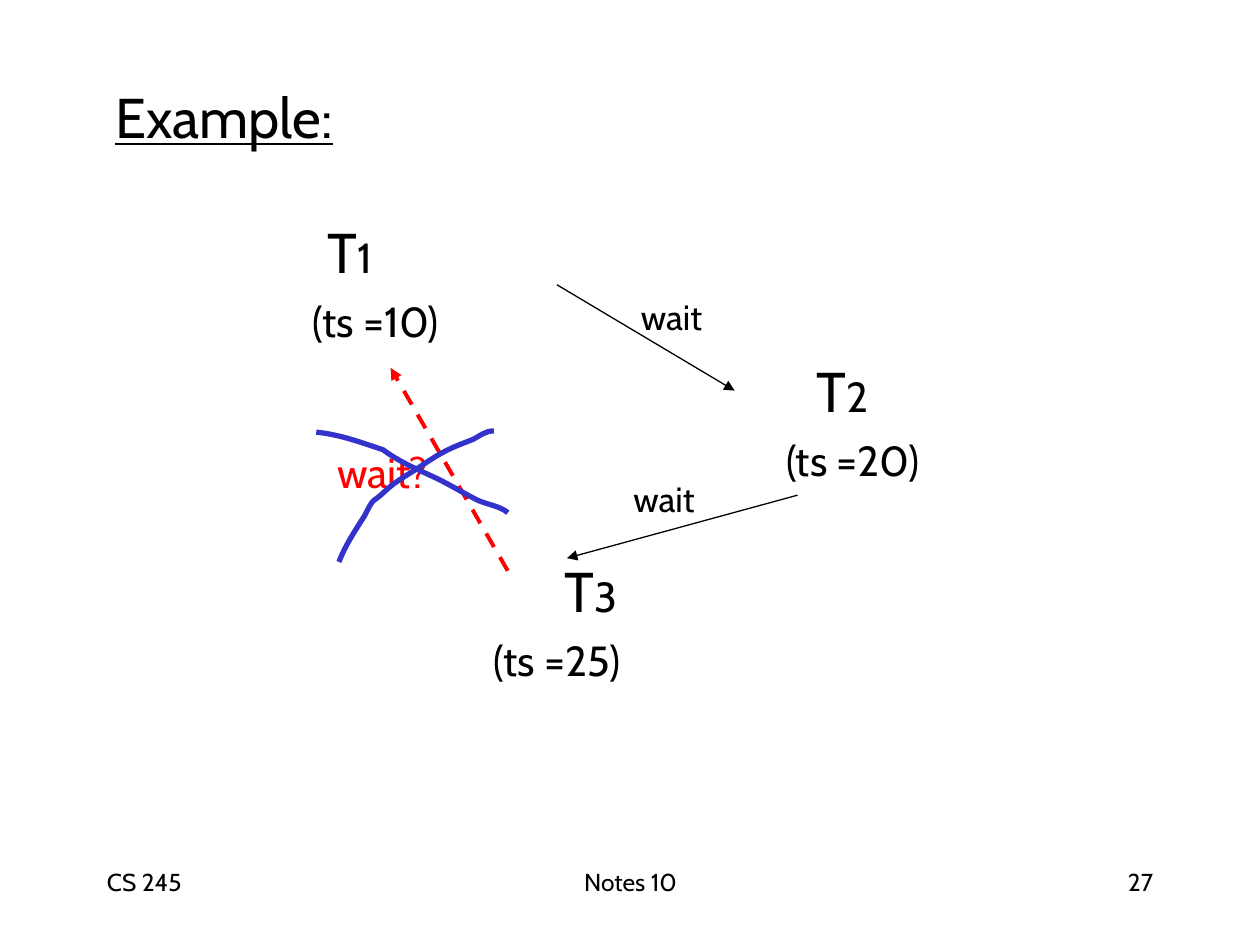
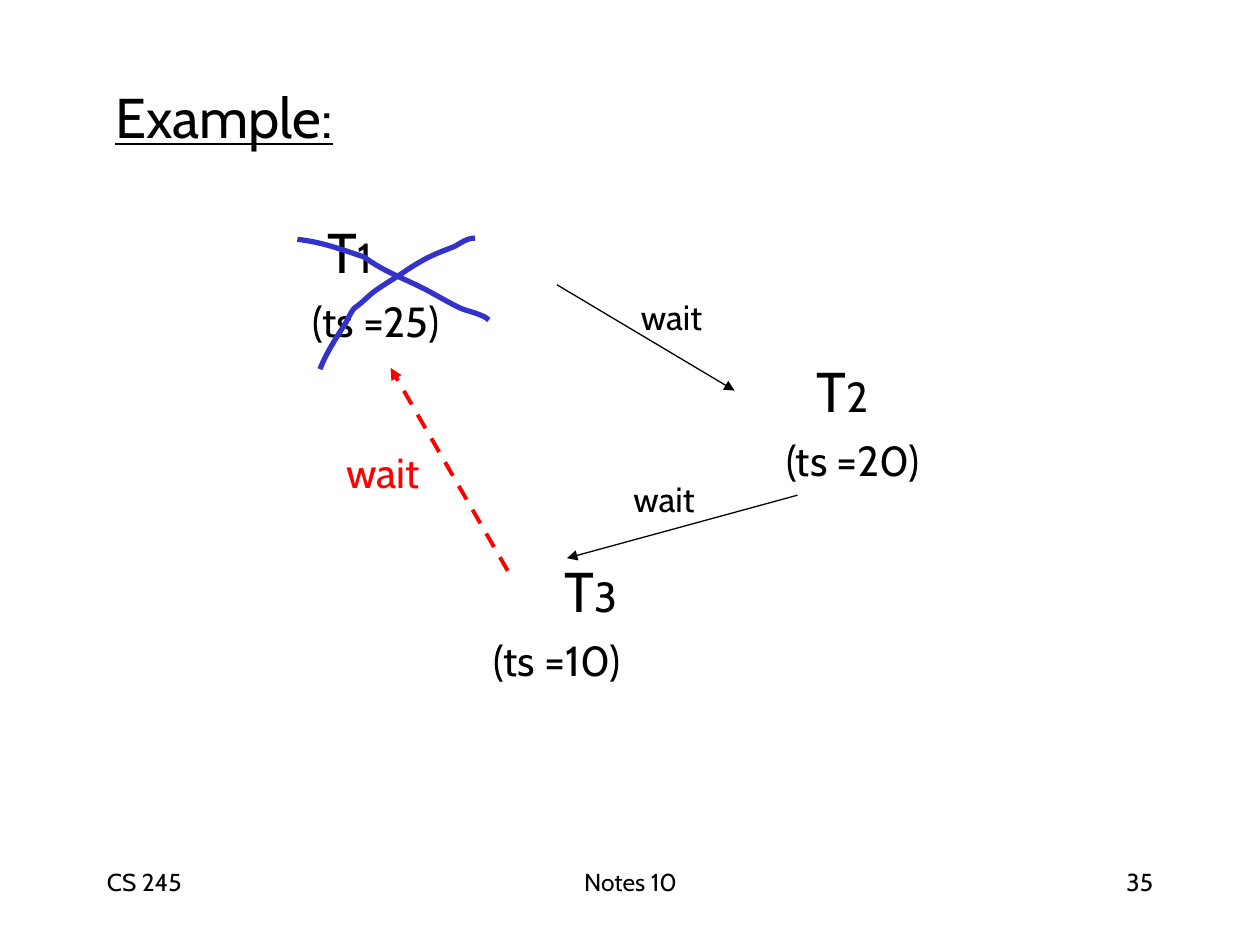
"""Build two wait-for graph example slides for a database course."""
from dataclasses import dataclass

import pptx
import pptx.dml.color
import pptx.enum.dml
import pptx.enum.shapes
import pptx.enum.text
import pptx.oxml
import pptx.oxml.ns
import pptx.util

CELL = pptx.util.Inches(0.1)
COLUMNS, ROWS = 100, 75
ALIGN = pptx.enum.text.PP_ALIGN
ANCHOR = pptx.enum.text.MSO_ANCHOR
AUTO_SIZE = pptx.enum.text.MSO_AUTO_SIZE


@dataclass(frozen=True)
class Theme:
    """Fonts, colours, type sizes and line widths."""
    font: str = "Cabin"
    ink: str = "000000"
    alert: str = "FF0000"
    strike: str = "3333CC"
    large: int = 32
    medium: int = 24
    label: int = 20
    footer: int = 14
    thin: float = 0.75
    dashed: float = 2.25
    thick: float = 3


THEME = Theme()

FOOTERS = ((7.5, 20.8, ALIGN.LEFT), (34.2, 31.7, ALIGN.CENTER), (71.7, 20.8, ALIGN.RIGHT))
TRANSACTIONS = (("1", 5, 3.8, 0), ("2", 43.8, 41.4, 6), ("3", 23.8, 18.2, 41))
RISING_STROKE = (
    (1.8, 10.4), (2.3, 9.1), (3.1, 7.9), (3.8, 6.8), (4, 6.5), (4.3, 5.7), (4.6, 5.5),
    (5.2, 5.1), (5.7, 4.5), (6.3, 4.1), (7, 3.6), (7.9, 3.1), (8.6, 2.6),
    (10.1, 1.6), (10.8, 1.3), (12.4, 0.7), (13, 0.4), (13.4, 0), (14.1, 0))
FALLING_STROKE = (
    (0, 0.1), (1.9, 0.3), (3.5, 0.9), (5.3, 1.5), (6.5, 2.4), (7.9, 3), (9.2, 3.6),
    (10.5, 4.2), (11.6, 4.9), (12.8, 5.5), (13.4, 5.8), (14.7, 6), (15.2, 6.5))


def cells(*counts):
    """Convert grid cells to lengths."""
    return [pptx.util.Emu(round(count * CELL)) for count in counts]


def rgb(value):
    """Turn a hex string into a colour."""
    return pptx.dml.color.RGBColor.from_string(value)


def add_run(paragraph, text, size, color=THEME.ink):
    """Add one formatted run and return its font."""
    run = paragraph.add_run()
    run.text = text
    run.font.name = THEME.font
    run.font.size = pptx.util.Pt(size)
    run.font.color.rgb = rgb(color)
    return run.font


def fit_one_line(frame):
    """Centre a single unwrapped line in its box."""
    frame.word_wrap = False
    frame.auto_size = AUTO_SIZE.SHAPE_TO_FIT_TEXT
    frame.vertical_anchor = ANCHOR.MIDDLE
    frame.paragraphs[0].alignment = ALIGN.CENTER


def add_title(slide, text):
    """Place the underlined title in its placeholder."""
    title = slide.shapes.title
    title.left, title.top, title.width, title.height = cells(7.3, 6, 21, 6.4)
    fit_one_line(title.text_frame)
    add_run(title.text_frame.paragraphs[0], text, THEME.large).underline = True


def add_footers(slide, texts):
    """Add the three footer texts along the bottom."""
    for text, (left, width, alignment) in zip(texts, FOOTERS):
        box = slide.shapes.add_textbox(*cells(left, 68.3, width, 5))
        box.text_frame.word_wrap = True
        paragraph = box.text_frame.paragraphs[0]
        paragraph.alignment = alignment
        add_run(paragraph, text, THEME.footer)


def add_label(slide, text, center, top, width, height, size, color=THEME.ink):
    """Add an arrow label centred on a column."""
    box = slide.shapes.add_textbox(*cells(center - width / 2, top, width, height))
    fit_one_line(box.text_frame)
    add_run(box.text_frame.paragraphs[0], text, size, color)


def start_paragraph(frame, indent, space_before):
    """Open an indented paragraph, using the empty first one if present."""
    paragraph = frame.paragraphs[0]
    if paragraph.runs:
        paragraph = frame.add_paragraph()
    properties = paragraph._p.get_or_add_pPr()
    properties.set("marL", str(cells(indent)[0]))
    properties.set("indent", "0")
    paragraph.space_before = pptx.util.Pt(space_before)
    return paragraph


def add_transactions(slide, timestamps):
    """List the transactions and timestamps, stepped across the slide."""
    frame = slide.shapes.add_textbox(*cells(20, 16.8, 61.7, 45)).text_frame
    frame.word_wrap = True
    for (number, name_indent, time_indent, gap), timestamp in zip(TRANSACTIONS, timestamps):
        name = start_paragraph(frame, name_indent, gap)
        add_run(name, "T", THEME.large)
        add_run(name, number, THEME.medium)
        time = start_paragraph(frame, time_indent, 6)
        add_run(time, f"(ts ={timestamp})", THEME.medium)


def add_arrow(slide, start, end, color=THEME.ink, width=THEME.thin, dash=None):
    """Draw a straight arrow between two grid points."""
    connector = slide.shapes.add_connector(
        pptx.enum.shapes.MSO_CONNECTOR.STRAIGHT, *cells(*start, *end))
    connector.line.color.rgb = rgb(color)
    connector.line.width = pptx.util.Pt(width)
    if dash:
        connector.line.dash_style = dash
    properties = connector._element.spPr
    line = properties.find(pptx.oxml.ns.qn("a:ln"))
    line.append(pptx.oxml.parse_xml(
        f'<a:tailEnd {pptx.oxml.ns.nsdecls("a")} type="triangle"/>'))
    properties.append(pptx.oxml.parse_xml(f'<a:effectLst {pptx.oxml.ns.nsdecls("a")}/>'))


def add_curve(slide, points):
    """Draw an open curve through groups of cubic control points."""
    first, *controls = [cells(*point) for point in points]
    builder = slide.shapes.build_freeform(*first)
    builder.add_line_segments(controls, close=False)
    shape = builder.convert_to_shape()
    shape.shadow.inherit = False
    shape.fill.background()
    shape.line.color.rgb = rgb(THEME.strike)
    shape.line.width = pptx.util.Pt(THEME.thick)
    segments = list(shape._element.iter(pptx.oxml.ns.qn("a:lnTo")))
    for index in range(0, len(segments), 3):
        curve = pptx.oxml.parse_xml(f'<a:cubicBezTo {pptx.oxml.ns.nsdecls("a")}/>')
        segments[index].addprevious(curve)
        for segment in segments[index:index + 3]:
            curve.append(segment[0])
            segment.getparent().remove(segment)


def add_cross(slide, left, top):
    """Strike something out with two hand-drawn strokes."""
    for stroke in (RISING_STROKE, FALLING_STROKE):
        add_curve(slide, [(left + x, top + y) for x, y in stroke])


def add_example(presentation, timestamps, question, question_width, cross, number):
    """Build one example slide."""
    slide = presentation.slides.add_slide(presentation.slide_layouts[5])
    add_title(slide, "Example:")
    add_transactions(slide, timestamps)
    add_arrow(slide, (44.2, 22.6), (58.3, 31))
    add_arrow(slide, (63.3, 39.3), (45, 44.3))
    for center, top in ((53.3, 22.9), (52.7, 37.4)):
        add_label(slide, "wait", center, top, 7.4, 4.4, THEME.label)
    add_arrow(slide, (40.3, 45.3), (31, 29.2), THEME.alert, THEME.dashed,
              pptx.enum.dml.MSO_LINE.DASH)
    add_label(slide, question, 30.4, 34.9, question_width, 5, THEME.medium, THEME.alert)
    add_cross(slide, *cross)
    add_footers(slide, ("CS 245", "Notes 10", number))


def main():
    """Create and save the presentation."""
    presentation = pptx.Presentation()
    presentation.slide_width, presentation.slide_height = cells(COLUMNS, ROWS)
    add_example(presentation, (10, 20, 25), "wait?", 10, (25.1, 34.2), "27")
    add_example(presentation, (25, 20, 10), "wait", 8.5, (23.6, 18.9), "35")
    presentation.save("out.pptx")


if __name__ == "__main__":
    main()
